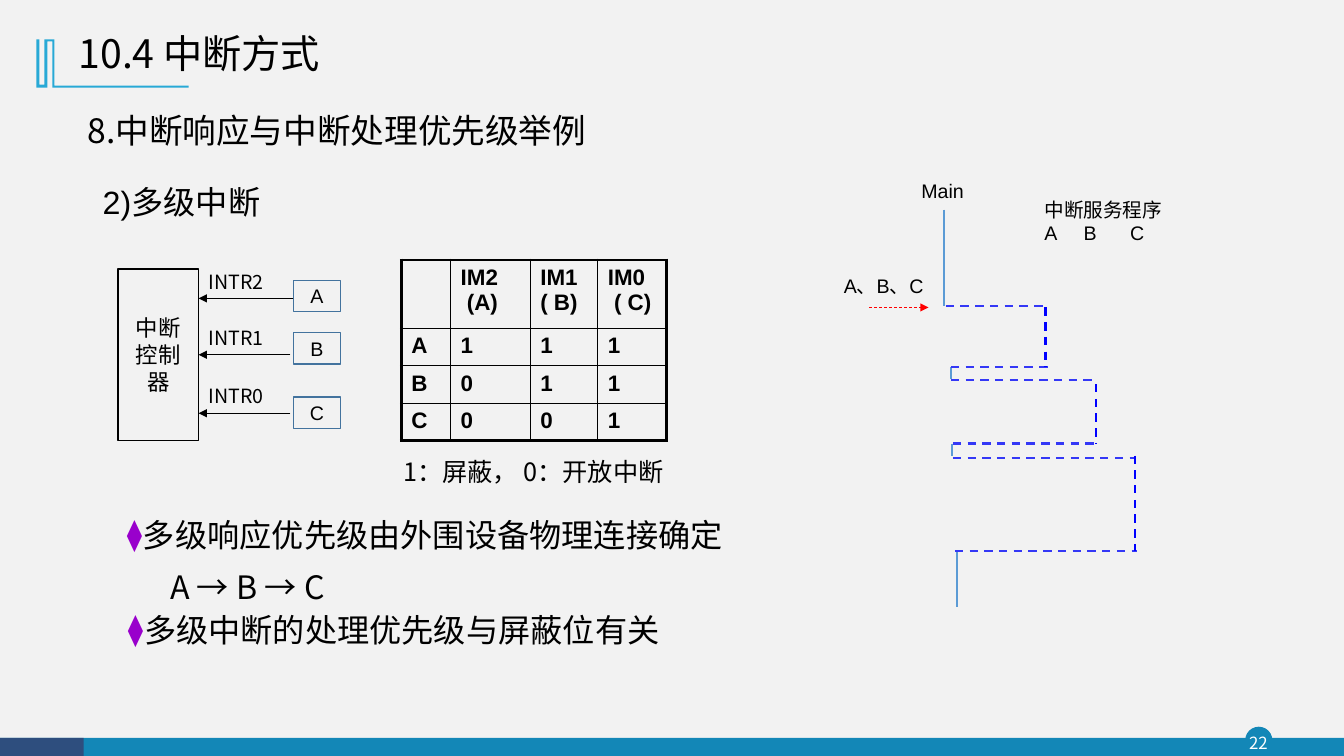
from lxml import etree
from pptx import Presentation
from pptx import util as u
from pptx.dml.color import RGBColor
from pptx.enum import dml, shapes, text
from pptx.oxml.ns import qn

PX = 9144
SANS, CJK, ARIAL = "Noto Sans CJK SC", "Noto Sans CJK JP", "Arial"
COLORS = {
    "paper": "F2F2F2", "ink": "000000", "white": "FFFFFF", "footer": "1387B7",
    "corner": "2E4E7E", "accent": "28A9D6", "device": "43739E", "bullet": "9900CC",
    "main": "5B9BD5", "call": "3438F6", "service": "0000FF", "request": "FF0000",
}
RGB = {name: RGBColor.from_string(value) for name, value in COLORS.items()}


def write(target, words, font=SANS, size=14, color="ink", bold=False, align=text.PP_ALIGN.LEFT,
          anchor=text.MSO_ANCHOR.TOP, spacing=None, indent=0, tabs=(), inset=None):
    frame = target.text_frame
    frame.word_wrap = True
    frame.vertical_anchor = anchor
    if inset is not None:
        frame.margin_left = frame.margin_right = frame.margin_top = frame.margin_bottom = inset * PX
    for number, line in enumerate(words.split("\n")):
        paragraph = frame.add_paragraph() if number else frame.paragraphs[0]
        paragraph.alignment = align
        if spacing:
            paragraph.line_spacing = spacing
        props = paragraph._p.get_or_add_pPr()
        if line.startswith("⧫"):
            line = line[1:]
            props.set("marL", str(16 * PX))
            props.set("indent", str(-16 * PX))
            tint = etree.SubElement(props, qn("a:buClr"))
            etree.SubElement(tint, qn("a:srgbClr"), val=COLORS["bullet"])
            etree.SubElement(props, qn("a:buSzPct"), val="96000")
            etree.SubElement(props, qn("a:buFont"), typeface=ARIAL)
            etree.SubElement(props, qn("a:buChar"), char="⧫")
        elif indent:
            props.set("marL", str(indent * PX))
            props.set("indent", "0")
        if tabs:
            stops = etree.SubElement(props, qn("a:tabLst"))
            for stop in tabs:
                etree.SubElement(stops, qn("a:tab"), pos=str(stop * PX), algn="l")
        run = paragraph.add_run()
        run.text = line
        run.font.size, run.font.bold, run.font.name = u.Pt(size), bold, font
        run.font.color.rgb = RGB[color]
        etree.SubElement(run._r.get_or_add_rPr(), qn("a:ea"), typeface=SANS if font == ARIAL else font)


def draw_line(x1, y1, x2, y2, color, width, dashed=False, arrow=False):
    line = slide.shapes.add_connector(
        shapes.MSO_CONNECTOR.STRAIGHT, x1 * PX, y1 * PX, x2 * PX, y2 * PX)
    line.line.color.rgb = RGB[color]
    line.line.width = u.Pt(width)
    if dashed:
        line.line.dash_style = dml.MSO_LINE.DASH
    if arrow:
        etree.SubElement(line.line._get_or_add_ln(), qn("a:tailEnd"), type="triangle")
    etree.SubElement(line._element.spPr, qn("a:effectLst"))
    return line


prs = Presentation()
prs.slide_width, prs.slide_height = 1333 * PX, 750 * PX
slide = prs.slides.add_slide(prs.slide_layouts[5])
slide.background.fill.solid()
slide.background.fill.fore_color.rgb = RGB["paper"]

title = slide.shapes.title
title.left, title.top, title.width, title.height = 68 * PX, 21 * PX, 449 * PX, 68 * PX
write(title, "10.4 中断方式", size=28, anchor=text.MSO_ANCHOR.MIDDLE, spacing=0.9)

pen = slide.shapes.build_freeform(54, 39, scale=PX)
pen.add_line_segments([
    (54, 85), (187, 85), (187, 87), (52, 87), (52, 41), (47, 41), (47, 87),
    (36, 87), (36, 39), (39, 39), (39, 84), (44, 84), (44, 39)])
title_mark = pen.convert_to_shape()
title_mark.shadow.inherit = False
title_mark.fill.solid()
title_mark.fill.fore_color.rgb = RGB["accent"]
title_mark.line.fill.background()

for kind, x, y, w, h, color in [
    (shapes.MSO_SHAPE.OVAL, 1235, 721, 27, 27, "footer"),
    (shapes.MSO_SHAPE.RECTANGLE, 0, 732, 1333, 18, "footer"),
    (shapes.MSO_SHAPE.RECTANGLE, 0, 732, 83, 18, "corner"),
]:
    footer = slide.shapes.add_shape(kind, x * PX, y * PX, w * PX, h * PX)
    footer.shadow.inherit = False
    footer.fill.solid()
    footer.fill.fore_color.rgb = RGB[color]
    footer.line.fill.background()

BULLETS = dict(size=23, spacing=1.35, indent=43)
for x, y, w, h, words, style in [
    (1232, 721, 32, 31, "22", dict(size=12, color="white", align=text.PP_ALIGN.CENTER,
                                   anchor=text.MSO_ANCHOR.MIDDLE, inset=0)),
    (77, 104, 544, 50, "8.中断响应与中断处理优先级举例", dict(font=CJK, size=24)),
    (92, 176, 211, 49, "2)多级中断", dict(font=ARIAL, size=23)),
    (390, 448, 339, 40, "1：屏蔽， 0：开放中断", dict(size=18)),
    (116, 493, 624, 115, "⧫多级响应优先级由外围设备物理连接确定\nA → B → C", BULLETS),
    (117, 587, 612, 58, "⧫多级中断的处理优先级与屏蔽位有关", BULLETS),
    (197, 263, 77, 34, "INTR2", {}),
    (197, 318, 77, 34, "INTR1", {}),
    (197, 376, 77, 34, "INTR0", {}),
    (827, 267, 101, 35, "A、B、C", dict(font=ARIAL)),
    (904, 173, 63, 34, "Main", dict(font=ARIAL)),
    (1026, 191, 155, 57, "中断服务程序\nA\tB\tC", dict(font=ARIAL, tabs=(39, 85))),
]:
    write(slide.shapes.add_textbox(x * PX, y * PX, w * PX, h * PX), words, **style)

blocks = {}
for x, y, w, h, words, font, size, color in [
    (117, 267, 80, 170, "中断控制器", SANS, 16, "ink"),
    (291, 278, 47, 31, "A", ARIAL, 14, "device"),
    (291, 330, 47, 31, "B", ARIAL, 14, "device"),
    (291, 394, 47, 31, "C", ARIAL, 14, "device"),
]:
    block = slide.shapes.add_shape(shapes.MSO_SHAPE.RECTANGLE, x * PX, y * PX, w * PX, h * PX)
    block.shadow.inherit = False
    block.fill.background()
    block.line.color.rgb = RGB[color]
    block.line.width = u.Pt(1)
    write(block, words, font=font, size=size, align=text.PP_ALIGN.CENTER,
          anchor=text.MSO_ANCHOR.MIDDLE)
    blocks[words] = block

draw_line(291, 296, 197, 296, "ink", 0.5, arrow=True)
intr1 = draw_line(288, 352, 197, 352, "ink", 0.5, arrow=True)
intr1.end_connect(blocks["中断控制器"], 3)
draw_line(288, 410, 197, 410, "ink", 0.5, arrow=True)

MASKS = [
    ["", "IM2\n (A)", "IM1\n( B)", "IM0\n ( C)"],
    ["A", "1", "1", "1"],
    ["B", "0", "1", "1"],
    ["C", "0", "0", "1"],
]
mask_table = slide.shapes.add_table(4, 4, 398 * PX, 258 * PX, 263 * PX, 179 * PX).table
mask_table.first_row = mask_table.horz_banding = False
for column, width in zip(mask_table.columns, (49, 79, 67, 68)):
    column.width = width * PX
for row, height in zip(mask_table.rows, (68, 37, 37, 37)):
    row.height = height * PX
for r, values in enumerate(MASKS):
    for c, value in enumerate(values):
        cell = mask_table.cell(r, c)
        if value:
            write(cell, value, font=ARIAL, size=16, bold=True)
        for side, outer in (("lnL", c == 0), ("lnR", c == 3), ("lnT", r == 0), ("lnB", r == 3)):
            border = etree.SubElement(cell._tc.get_or_add_tcPr(), qn("a:" + side),
                                      w=str(u.Pt(2.25 if outer else 1)))
            ink = etree.SubElement(border, qn("a:solidFill"))
            etree.SubElement(ink, qn("a:srgbClr"), val=COLORS["ink"])
        cell.fill.background()

for x, top, bottom in [(936, 208, 304), (943, 364, 376), (944, 440, 452), (949, 547, 602)]:
    draw_line(x, top, x, bottom, "main", 1.5)
for x1, x2, y in [(938, 1037, 304), (943, 1042, 364), (943, 1085, 377),
                  (945, 1087, 440), (945, 1126, 454), (947, 1128, 547)]:
    draw_line(x1, y, x2, y, "call", 1.5, dashed=True)
for x, top, bottom in [(1037, 305, 364), (1087, 381, 440), (1126, 452, 547)]:
    draw_line(x, top, x, bottom, "service", 1.5, dashed=True)
draw_line(862, 305, 921, 305, "request", 0.5, dashed=True, arrow=True)

prs.save("out.pptx")
